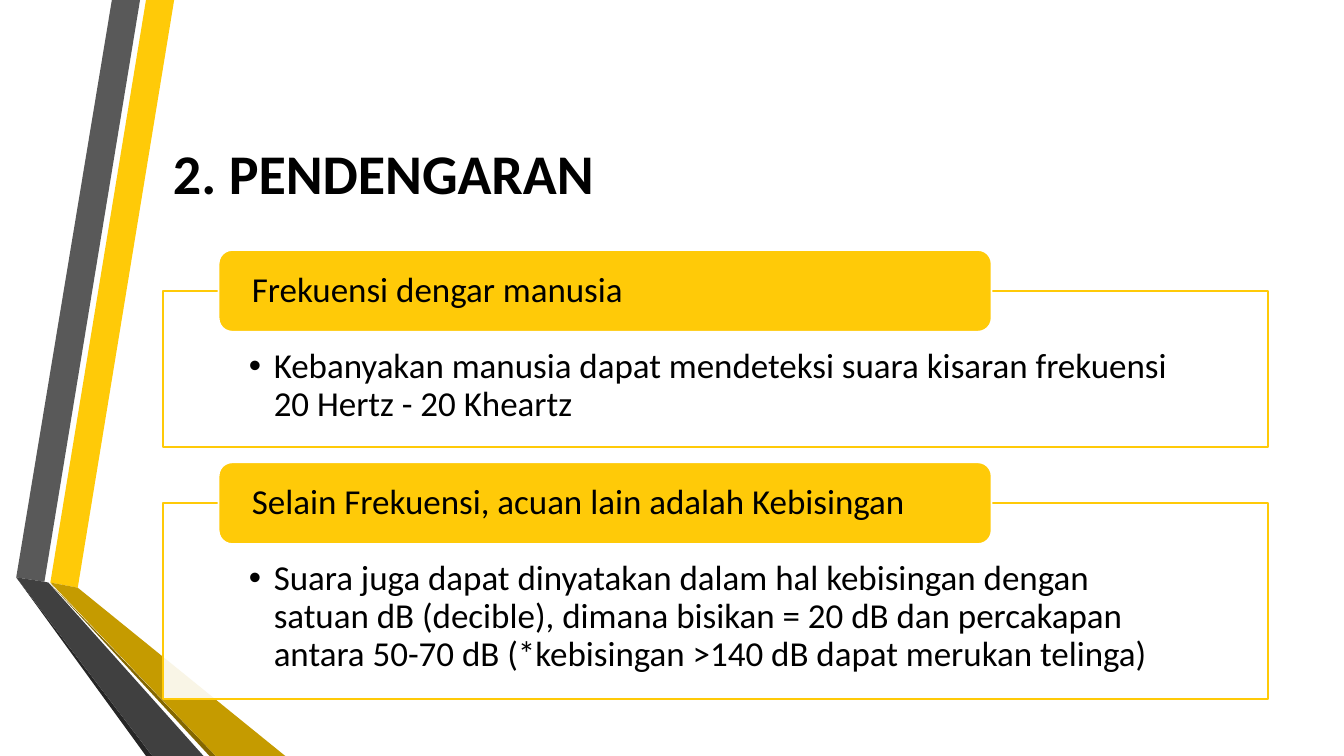
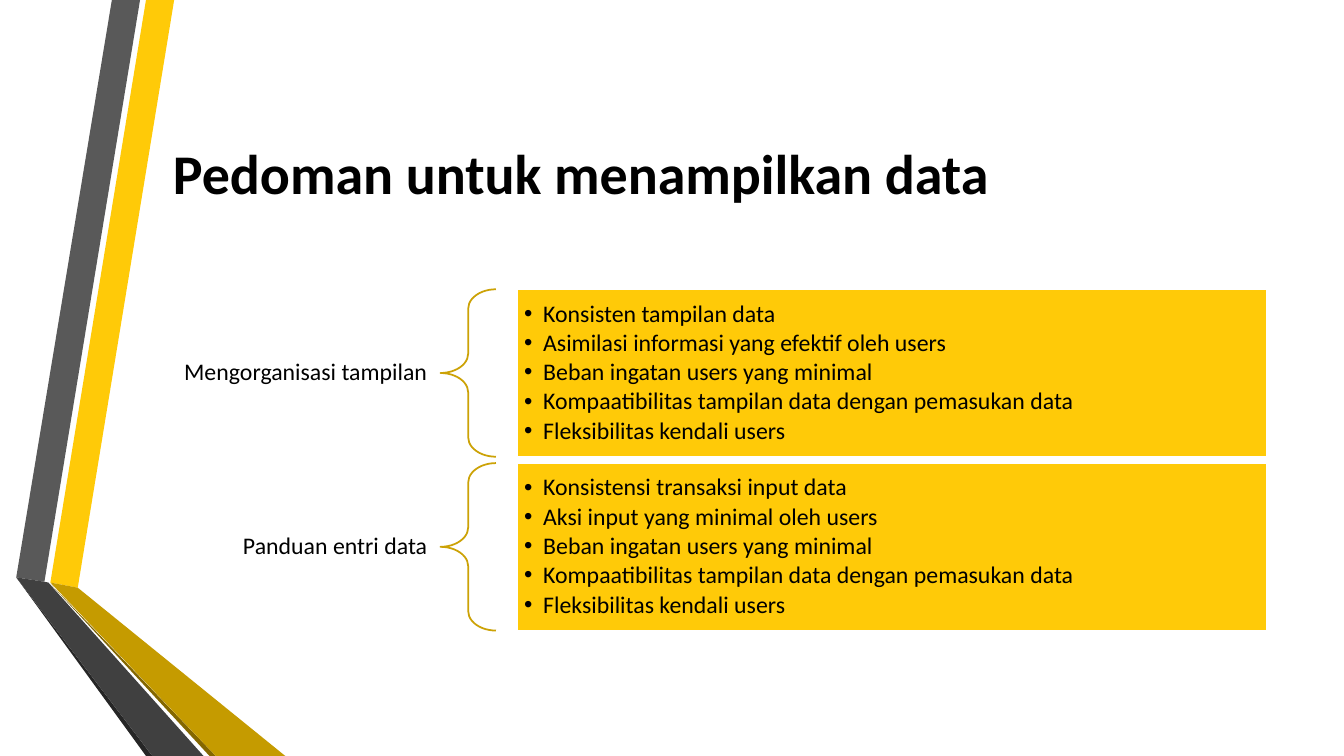
import lxml.etree
import pptx
import pptx.dml.color
import pptx.enum.shapes
import pptx.enum.text
import pptx.oxml.ns
import pptx.util

Cm, Pt = pptx.util.Cm, pptx.util.Pt
SHAPE = pptx.enum.shapes.MSO_SHAPE
ANCHOR = pptx.enum.text.MSO_ANCHOR
ALIGN = pptx.enum.text.PP_ALIGN
qn = pptx.oxml.ns.qn


class Theme:
    font = "Calibri"
    title_size, panel_size, list_size = 40, 25, 17
    line_width = 1.25
    text, white = "000000", "FFFFFF"
    yellow, ochre, brown, brace = "FFCA08", "C59B00", "846700", "CCA206"
    grey, charcoal, black = "595959", "404040", "262626"


def paint(sp, fill=None, line=None):
    """Set fill and outline; None leaves that part empty."""
    sp.shadow.inherit = False
    if fill:
        sp.fill.solid()
        sp.fill.fore_color.rgb = pptx.dml.color.RGBColor.from_string(fill)
    else:
        sp.fill.background()
    if line:
        sp.line.color.rgb = pptx.dml.color.RGBColor.from_string(line)
        sp.line.width = Pt(Theme.line_width)
    else:
        sp.line.fill.background()


def write(sp, lines, size, insets, anchor=ANCHOR.MIDDLE, align=ALIGN.LEFT,
          spacing=0.9, bold=False, bullet_indent=None):
    """Fill a shape with paragraphs; insets are left, top, right, bottom in cm."""
    tf = sp.text_frame
    tf.text = "\n".join(lines)
    tf.word_wrap = True
    tf.vertical_anchor = anchor
    tf.margin_left, tf.margin_top, tf.margin_right, tf.margin_bottom = map(Cm, insets)
    for p in tf.paragraphs:
        p.alignment = align
        p.line_spacing = spacing
        if bullet_indent:
            p.space_after = Pt(0.15 * size)
            pPr = p._p.get_or_add_pPr()
            pPr.set("marL", str(Cm(bullet_indent)))
            pPr.set("indent", str(-Cm(bullet_indent)))
            lxml.etree.SubElement(pPr, qn("a:buFont")).set("typeface", "Arial")
            lxml.etree.SubElement(pPr, qn("a:buChar")).set("char", "•")
        for r in p.runs:
            r.font.name = Theme.font
            r.font.size = Pt(size)
            r.font.bold = bold
            r.font.color.rgb = pptx.dml.color.RGBColor.from_string(Theme.text)


prs = pptx.Presentation()
prs.slide_width, prs.slide_height = Cm(33.87), Cm(19.05)

# Shared by both slides: folded ribbons and title
ribbons = [
    (Theme.yellow, [(1.27, 14.68), (1.96, 14.81), (4.39, 0), (3.68, 0)]),
    (Theme.grey, [(3.53, 0), (2.82, 0), (0.41, 14.55), (1.12, 14.66)]),
    (Theme.black, [(0.41, 14.55), (3.68, 19.05), (3.84, 19.05)]),
    (Theme.brown, [(1.27, 14.71), (5.28, 19.05), (5.44, 19.05)]),
    (Theme.ochre, [(1.27, 14.68), (5.44, 19.05), (7.19, 19.05), (1.96, 14.81)]),
    (Theme.charcoal, [(5.13, 19.05), (1.22, 14.68), (1.12, 14.66), (0.41, 14.55),
                      (3.84, 19.05)]),
]
content_left, content_width = 4.11, 27.84
slides = []
for title in ("2. PENDENGARAN", "Pedoman untuk menampilkan data"):
    s = prs.slides.add_slide(prs.slide_layouts[6])
    for color, points in ribbons:
        corners = [(Cm(x), Cm(y)) for x, y in points]
        builder = s.shapes.build_freeform(*corners[0])
        builder.add_line_segments(corners[1:], close=True)
        paint(builder.convert_to_shape(), color)
    sp = s.shapes.add_textbox(Cm(content_left), Cm(1.9), Cm(content_width), Cm(4.88))
    write(sp, [title], Theme.title_size, (0.25, 0.13, 0.25, 0.13), spacing=1, bold=True)
    slides.append(s)
hearing, guidelines = slides

# Hearing: outlined panels, each with a tab over its top edge
panels = [
    ("Frekuensi dengar manusia", 3.94,
     "Kebanyakan manusia dapat mendeteksi suara kisaran frekuensi 20 Hertz - 20 Kheartz"),
    ("Selain Frekuensi, acuan lain adalah Kebisingan", 4.93,
     "Suara juga dapat dinyatakan dalam hal kebisingan dengan satuan dB (decible), "
     "dimana bisikan = 20 dB dan percakapan antara 50-70 dB "
     "(*kebisingan >140 dB dapat merukan telinga)"),
]
tab_top, tab_height, panel_gap = 6.3, 2.06, 0.38
for heading, panel_height, body in panels:
    panel_top = tab_top + tab_height / 2
    panel = hearing.shapes.add_shape(SHAPE.RECTANGLE, Cm(content_left), Cm(panel_top),
                                     Cm(content_width), Cm(panel_height))
    paint(panel, Theme.white, Theme.yellow)
    white_fill = panel._element.spPr.find(qn("a:solidFill"))[0]
    lxml.etree.SubElement(white_fill, qn("a:alpha")).set("val", "90000")
    write(panel, [body], Theme.panel_size, (2.16, 1.45, 2.16, 0.48),
          anchor=ANCHOR.TOP, bullet_indent=0.63)

    tab = hearing.shapes.add_shape(SHAPE.ROUNDED_RECTANGLE, Cm(5.51), Cm(tab_top),
                                   Cm(19.48), Cm(tab_height))
    paint(tab, Theme.yellow, Theme.white)
    write(tab, [heading], Theme.panel_size, (0.74, 0, 0.74, 0))
    tab_top = panel_top + panel_height + panel_gap

# Guidelines: label, brace and list in each row
shared_points = [
    "Beban ingatan users yang minimal",
    "Kompaatibilitas tampilan data dengan pemasukan data",
    "Fleksibilitas kendali users",
]
rows = [
    ("Mengorganisasi tampilan",
     ["Konsisten tampilan data", "Asimilasi informasi yang efektif oleh users"]),
    ("Panduan entri data",
     ["Konsistensi transaksi input data", "Aksi input yang minimal oleh users"]),
]
first_row_top, row_height, row_gap = 7.29, 4.22, 0.16
for i, (heading, own_points) in enumerate(rows):
    top, height = Cm(first_row_top + i * (row_height + row_gap)), Cm(row_height)
    label = guidelines.shapes.add_textbox(Cm(4.14), top, Cm(6.96), height)
    write(label, [heading], Theme.list_size, (0.33, 0.13, 0.33, 0.13), align=ALIGN.RIGHT)

    brace = guidelines.shapes.add_shape(SHAPE.LEFT_BRACE, Cm(11.1), top, Cm(1.4), height)
    brace.adjustments[0] = 0.35
    paint(brace, line=Theme.brace)

    box = guidelines.shapes.add_shape(SHAPE.RECTANGLE, Cm(13.03), top, Cm(18.9), height)
    paint(box, Theme.yellow, Theme.white)
    write(box, own_points + shared_points, Theme.list_size, (0.18,) * 4, bullet_indent=0.48)

prs.save("out.pptx")
